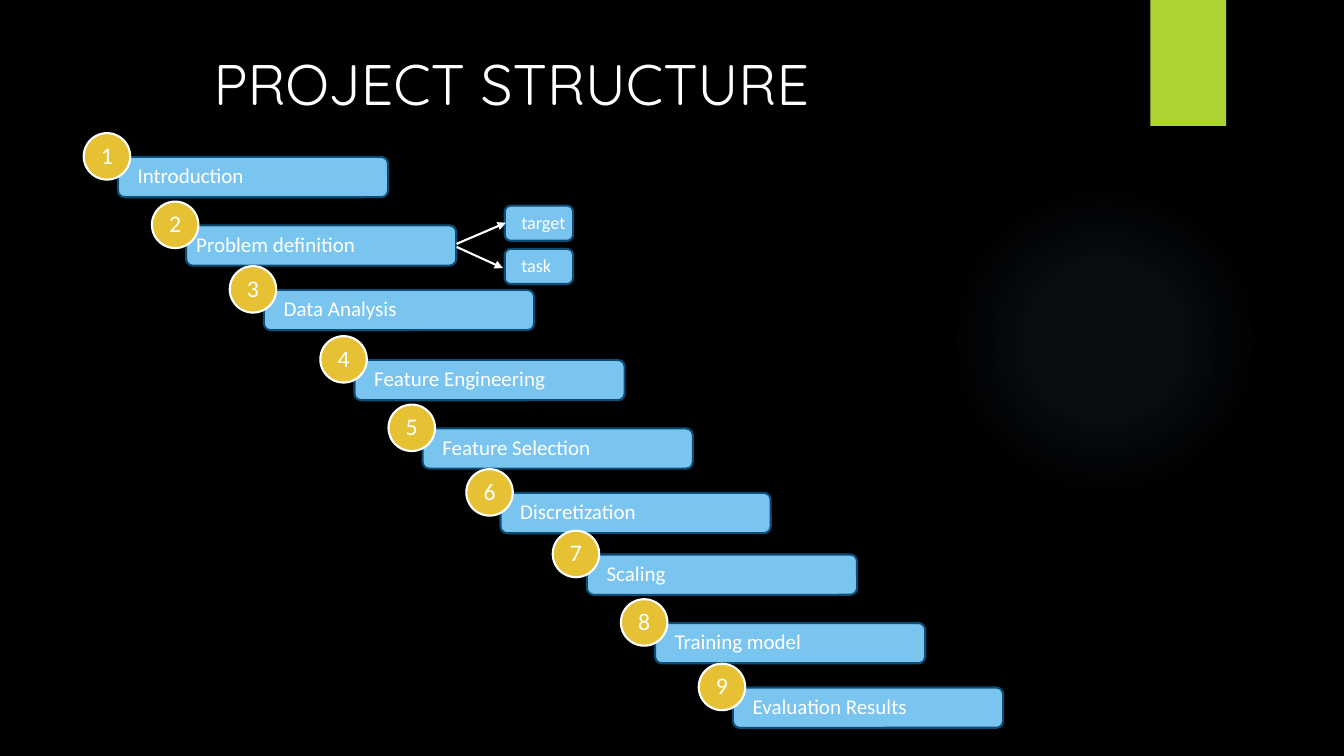
from lxml.etree import SubElement
from pptx import Presentation
from pptx.dml.color import RGBColor as RGB
from pptx.enum.shapes import MSO_CONNECTOR as Connector, MSO_SHAPE as Shape
from pptx.enum.text import MSO_ANCHOR as Anchor, MSO_AUTO_SIZE as AutoSize, PP_ALIGN as Align
from pptx.oxml import parse_xml
from pptx.oxml.ns import nsdecls, qn
from pptx.util import Pt

# Content
TITLE = "PROJECT STRUCTURE"
STEPS = [
    "Introduction", "Problem definition", "Data Analysis",
    "Feature Engineering", "Feature Selection", "Discretization",
    "Scaling", "Training model", "Evaluation Results",
]
UNINDENTED_STEP = "Problem definition"
# Details of the second step: wording, box top, arrow start, arrow end
DETAILS = [
    ("target", 146.9, (326.2, 174.2), (361.4, 159.1)),
    ("task", 177.8, (326.2, 176.4), (359.3, 191.5)),
]

THEME = {
    "background": "000000", "white": "FFFFFF", "blue": "7AC4F0",
    "navy": "0D4D74", "gold": "E6C133", "green": "ACD433",
    "heading_font": "Quicksand", "body_font": "Calibri",
    "title_size": 40.8, "number_size": 17, "step_size": 15, "detail_size": 13,
    "line_width": 1.5,
}

# Layout in points: the staircase is three flights of three steps
FLIGHT_STARTS = [(84.2, 112.1), (253.2, 257.1), (419.2, 396.1)]
STEP_OFFSETS = [(0, 0), (48.7, 48.9), (104.3, 95)]
BAR_SIZE = (193, 28.8)
BADGE_DIAMETER = 33.2
BADGE_SHIFT = (-24.4, -17)
DETAIL_LEFT = 360.6
DETAIL_SIZE = (48.8, 25.1)


def color(name):
    return RGB.from_string(THEME[name])


def add_box(slide, kind, left, top, width, height, fill=None, line=None):
    box = slide.shapes.add_shape(kind, Pt(left), Pt(top), Pt(width), Pt(height))
    box.shadow.inherit = False
    if fill:
        box.fill.solid()
        box.fill.fore_color.rgb = color(fill)
    if line:
        box.line.color.rgb = color(line)
        box.line.width = Pt(THEME["line_width"])
    else:
        box.line.fill.background()
    return box


def write(shape, wording, size, font, align=Align.LEFT, anchor=Anchor.MIDDLE,
          inset=0, right=0, spacing=0.9):
    frame = shape.text_frame
    frame.word_wrap = True
    frame.auto_size = AutoSize.NONE
    frame.vertical_anchor = anchor
    frame.margin_left, frame.margin_right = Pt(inset), Pt(right)
    frame.margin_top = frame.margin_bottom = Pt(3.6 if shape.is_placeholder else 0)
    paragraph = frame.paragraphs[0]
    paragraph.alignment = align
    paragraph.line_spacing = spacing
    run = paragraph.add_run()
    run.text = wording
    run.font.size = Pt(size)
    run.font.name = font
    run.font.color.rgb = color("white")


def add_glow(slide):
    glow = add_box(slide, Shape.OVAL, 677.5, 131.8, 221.8, 221.8, fill="blue")
    stops = "".join(
        f'<a:gs pos="{position * 1000}"><a:srgbClr val="{THEME["blue"]}">'
        f'<a:alpha val="{opacity * 1000}"/></a:srgbClr></a:gs>'
        for position, opacity in [(0, 7), (36, 6), (69, 0), (100, 0)])
    gradient = parse_xml(
        f'<a:gradFill {nsdecls("a")} rotWithShape="1"><a:gsLst>{stops}</a:gsLst>'
        '<a:path path="circle"><a:fillToRect l="50000" t="50000" r="50000" b="50000"/>'
        '</a:path></a:gradFill>')
    properties = glow.element.spPr
    properties.replace(properties.find(qn("a:solidFill")), gradient)


def add_arrow(slide, start, end):
    arrow = slide.shapes.add_connector(
        Connector.STRAIGHT, *(Pt(value) for value in start + end))
    arrow.line.color.rgb = color("white")
    arrow.line.width = Pt(THEME["line_width"])
    SubElement(arrow.line._get_or_add_ln(), qn("a:tailEnd"), type="triangle")
    SubElement(arrow.element.spPr, qn("a:effectLst"))


def add_step(slide, index, wording):
    flight, stair = divmod(index, len(STEP_OFFSETS))
    left, top = (start + offset for start, offset
                 in zip(FLIGHT_STARTS[flight], STEP_OFFSETS[stair]))
    bar = add_box(slide, Shape.ROUNDED_RECTANGLE, left, top, *BAR_SIZE, "blue", "navy")
    inset = 5.9 if wording == UNINDENTED_STEP else 12.7
    write(bar, wording, THEME["step_size"], THEME["body_font"], inset=inset)
    badge = add_box(slide, Shape.OVAL, left + BADGE_SHIFT[0], top + BADGE_SHIFT[1],
                    BADGE_DIAMETER, BADGE_DIAMETER, "gold", "white")
    write(badge, str(index + 1), THEME["number_size"], THEME["body_font"], Align.CENTER)


def main():
    deck = Presentation()
    deck.slide_width, deck.slide_height = Pt(960), Pt(540)
    slide = deck.slides.add_slide(deck.slide_layouts[5])
    slide.background.fill.solid()
    slide.background.fill.fore_color.rgb = color("background")

    # Backdrop
    add_glow(slide)
    add_box(slide, Shape.RECTANGLE, 821.8, 0, 54, 90, "green")

    # Title
    title = slide.shapes.title
    title.left, title.top, title.width, title.height = Pt(18.7), Pt(29.4), Pt(566.6), Pt(58)
    write(title, TITLE, THEME["title_size"], THEME["heading_font"], Align.RIGHT,
          Anchor.BOTTOM, inset=7.2, right=7.2, spacing=1)

    # Staircase of numbered steps
    for index, wording in enumerate(STEPS):
        add_step(slide, index, wording)

    # Details of the second step
    for wording, top, start, end in DETAILS:
        detail = add_box(slide, Shape.ROUNDED_RECTANGLE, DETAIL_LEFT, top,
                         *DETAIL_SIZE, "blue", "navy")
        write(detail, wording, THEME["detail_size"], THEME["body_font"], inset=10.6)
        add_arrow(slide, start, end)

    deck.save("out.pptx")


if __name__ == "__main__":
    main()
